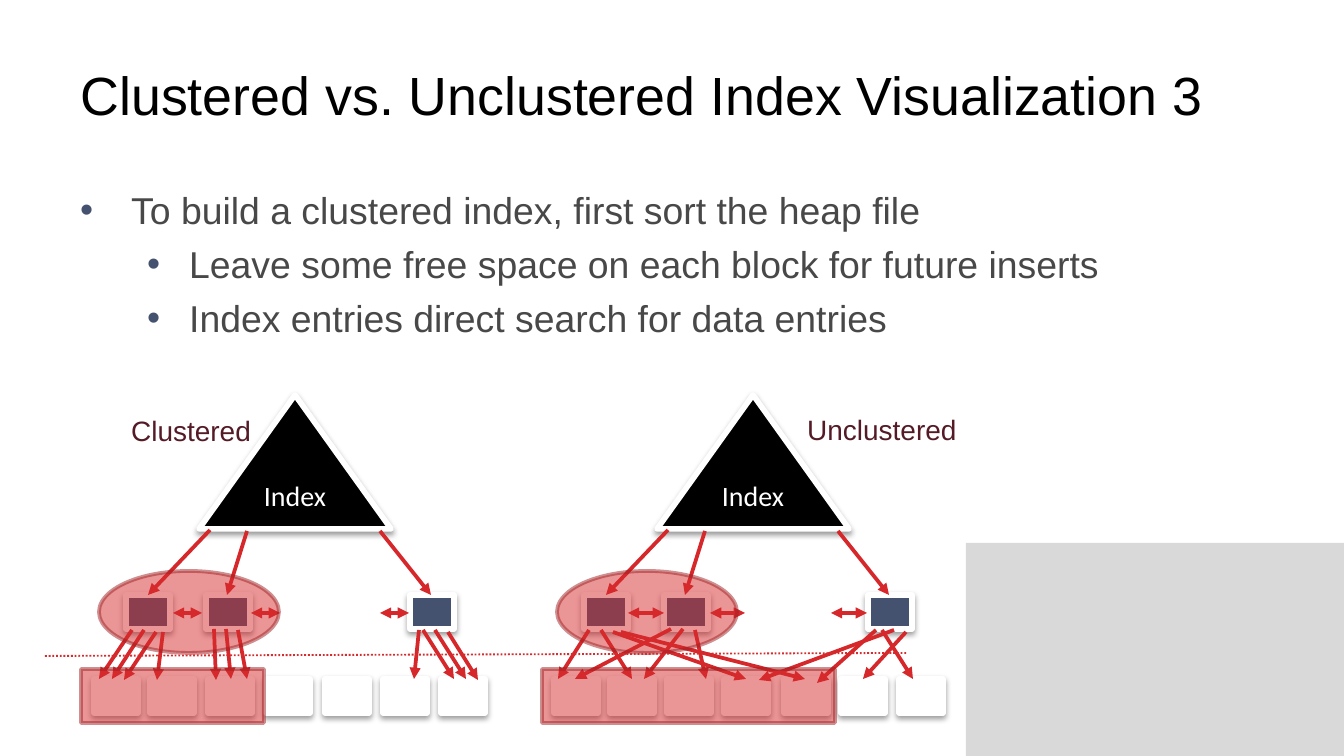
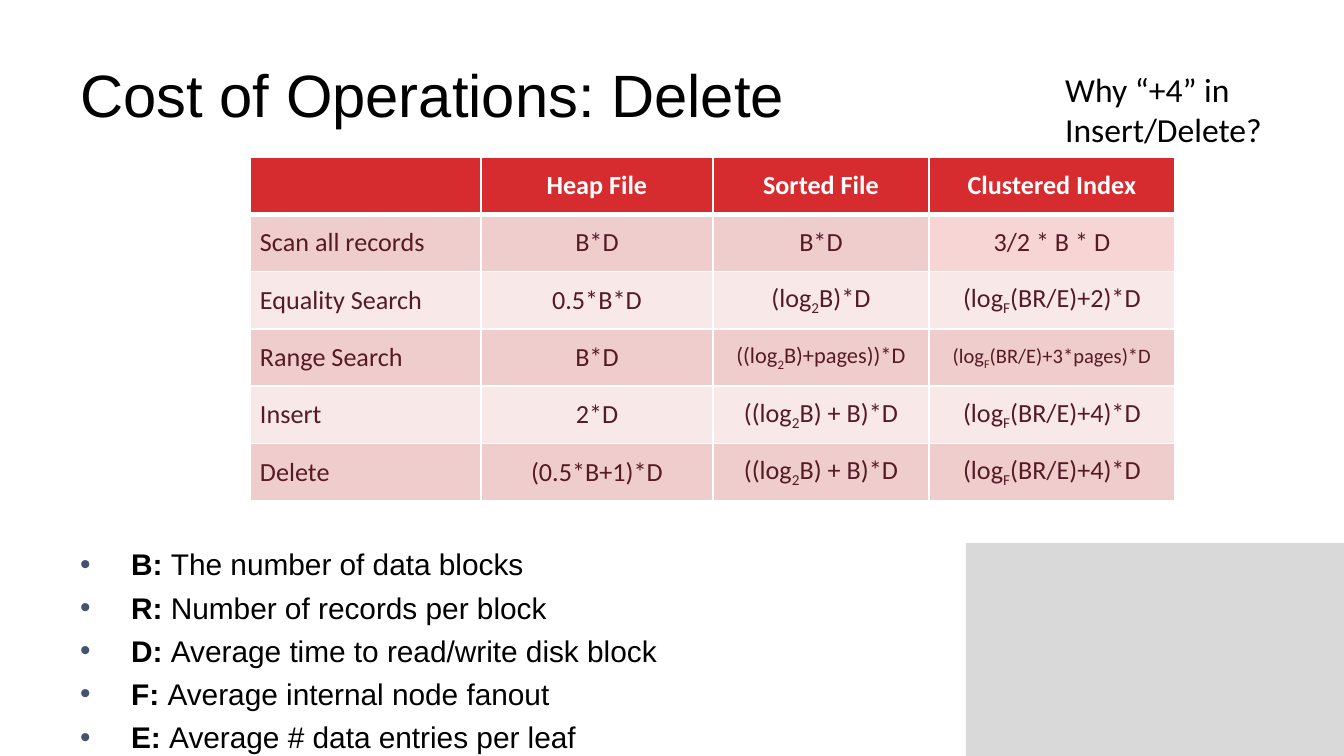
from lxml.etree import SubElement
from pptx import Presentation
from pptx.dml.color import RGBColor
from pptx.enum.dml import MSO_LINE
from pptx.enum.shapes import MSO_CONNECTOR, MSO_SHAPE as SHAPE
from pptx.enum.text import MSO_ANCHOR as ANCHOR, MSO_AUTO_SIZE as AUTO, PP_ALIGN as ALIGN
from pptx.oxml.ns import qn
from pptx.util import Emu, Pt

BLACK = RGBColor(0x00, 0x00, 0x00)
WHITE = RGBColor(0xFF, 0xFF, 0xFF)
GREY = RGBColor(0xD9, 0xD9, 0xD9)
TEXT = RGBColor(0x48, 0x48, 0x48)
NAVY = RGBColor(0x44, 0x51, 0x6F)
WINE = RGBColor(0x54, 0x1B, 0x27)
RED = RGBColor(0xD7, 0x2C, 0x2F)
ARROW_RED = RGBColor(0xD6, 0x27, 0x2A)
DARK_RED = RGBColor(0x9F, 0x21, 0x23)
ROW_DARK = RGBColor(0xF0, 0xCD, 0xCD)
ROW_LIGHT = RGBColor(0xF8, 0xE8, 0xE8)
CELL_PINK = RGBColor(0xF7, 0xD5, 0xD5)

TREE_STEP = 458
LEAVES = (126, 206, 410)
ROOT_LINKS = ((210, 530, 148, 595), (247, 531, 227, 595), (380, 531, 431, 595))

CLUSTERED = dict(
    dx=0,
    blocks=(94, 150, 208, 266, 325, 383, 441),
    entries=((132, 630, 99, 679), (144, 630, 112, 679), (156, 632, 124, 680),
             (163, 632, 157, 680), (423, 630, 454, 679), (435, 630, 466, 679),
             (448, 632, 478, 680), (419, 630, 414, 679), (214, 629, 216, 680),
             (226, 629, 231, 679), (238, 630, 247, 679)),
    siblings=((173, 202), (251, 280), (380, 409)),
    label=("Clustered", 118, 407, 149, 47),
    block_range=(81, 183),
)
UNCLUSTERED = dict(
    dx=TREE_STEP,
    blocks=(554, 610, 667, 724, 784, 841, 899),
    entries=((589, 630, 558, 679), (601, 630, 632, 679), (613, 632, 746, 679),
             (621, 632, 805, 679), (882, 630, 913, 679), (894, 630, 759, 680),
             (906, 632, 863, 679), (876, 630, 817, 683), (671, 629, 575, 679),
             (683, 629, 644, 679), (695, 630, 706, 679)),
    siblings=((628, 664), (710, 745), (831, 867)),
    label=("Unclustered", 794, 406, 180, 47),
    block_range=(542, 293),
)

COLUMNS = (231, 232, 216, 246)
COSTS = (
    ("", "Heap File", "Sorted File", "Clustered Index"),
    ("Scan all records", "B*D", "B*D", "3/2 * B * D"),
    ("Equality Search", "0.5*B*D", "(log|2|B)*D", "(log|F|(BR/E)+2)*D"),
    ("Range Search", "B*D", "((log|2|B)+pages))*D", "(log|F|(BR/E)+3*pages)*D"),
    ("Insert", "2*D", "((log|2|B) + B)*D", "(log|F|(BR/E)+4)*D"),
    ("Delete", "(0.5*B+1)*D", "((log|2|B) + B)*D", "(log|F|(BR/E)+4)*D"),
)
CELL_SIZES = {(3, 2): 12, (3, 3): 11}
CELL_FILLS = {(1, 3): CELL_PINK}


def px(n):
    return Emu(round(n * 914400 / 134.4))


def box(*lengths):
    return [px(n) for n in lengths]


def add_run(p, text, size=15, color=BLACK, font="Arial", bold=False, sub=False):
    r = p.add_run()
    r.text = text
    r.font.size, r.font.name, r.font.bold = Pt(size), font, bold
    r.font.color.rgb = color
    if sub:
        r._r.get_or_add_rPr().set("baseline", "-25000")


def add_shape(shapes, kind, at, fill, line=None, width=3):
    sp = shapes.add_shape(kind, *box(*at))
    sp.fill.solid()
    sp.fill.fore_color.rgb = fill
    if line is None:
        sp.line.fill.background()
    else:
        sp.line.color.rgb = line
        sp.line.width = Pt(width)
    sp.shadow.inherit = False
    return sp


def add_raised(shapes, kind, at, fill):
    sp = add_shape(shapes, kind, at, fill, WHITE)
    effects = sp._element.spPr.find(qn("a:effectLst"))
    shadow = SubElement(effects, qn("a:outerShdw"), blurRad=str(Pt(3.1)), dist=str(Pt(1.6)),
                        dir="5400000", rotWithShape="0")
    color = SubElement(shadow, qn("a:srgbClr"), val="000000")
    SubElement(color, qn("a:alpha"), val="38000")
    return sp


def add_highlight(shapes, kind, at):
    sp = add_shape(shapes, kind, at, RED, DARK_RED, 2)
    for color in list(sp._element.spPr.iter(qn("a:srgbClr"))):
        SubElement(color, qn("a:alpha"), val="50000")


def add_line(shapes, ends, color=ARROW_RED, width=2, head=False, tail=True, dash=None):
    c = shapes.add_connector(MSO_CONNECTOR.STRAIGHT, *box(*ends))
    c.line.color.rgb = color
    c.line.width = Pt(width)
    if dash:
        c.line.dash_style = dash
    ln = c._element.spPr.find(qn("a:ln"))
    for tag, wanted in (("a:headEnd", head), ("a:tailEnd", tail)):
        if wanted:
            SubElement(ln, qn(tag), type="triangle")
    SubElement(c._element.spPr, qn("a:effectLst"))


def add_text(shapes, text, at, wrap=True, **fmt):
    tf = shapes.add_textbox(*box(*at)).text_frame
    tf.word_wrap = wrap
    tf.auto_size = AUTO.SHAPE_TO_FIT_TEXT
    add_run(tf.paragraphs[0], text, **fmt)


def add_bullets(s, at, items, size, color):
    tf = s.shapes.add_textbox(*box(*at)).text_frame
    tf.word_wrap = True
    tf.auto_size = AUTO.NONE
    tf.margin_top = px(11)
    for i, (level, key, text) in enumerate(items):
        p = tf.paragraphs[0] if i == 0 else tf.add_paragraph()
        p.level = level
        p.space_before = Pt(size / 4 if i else 0)
        margin, hang = ((51, 51), (109, 42))[level]
        pPr = p._p.get_or_add_pPr()
        pPr.set("marL", str(px(margin)))
        pPr.set("indent", str(-px(hang)))
        SubElement(SubElement(pPr, qn("a:buClr")), qn("a:srgbClr"), val=str(NAVY))
        SubElement(pPr, qn("a:buFont"), typeface="Arial")
        SubElement(pPr, qn("a:buChar"), char="•")
        if key:
            add_run(p, key + ": ", size=size, color=color, bold=True)
        add_run(p, text, size=size, color=color)


def add_slide(prs, title, size):
    s = prs.slides.add_slide(prs.slide_layouts[5])
    add_shape(s.shapes, SHAPE.RECTANGLE, (966, 543, 378, 213), GREY)
    sp = s.shapes.title
    sp.left, sp.top, sp.width, sp.height = box(67, 31, 1210, 126)
    tf = sp.text_frame
    tf.word_wrap = True
    tf.auto_size = AUTO.NONE
    tf.vertical_anchor = ANCHOR.MIDDLE
    p = tf.paragraphs[0]
    p.alignment = ALIGN.LEFT
    add_run(p, title, size=size)
    return s


def add_tree(s, dx, blocks, entries, siblings, label, block_range):
    shapes = s.shapes.add_group_shape().shapes
    for x in blocks:
        add_raised(shapes, SHAPE.RECTANGLE, (x, 679, 44, 34), WHITE)
    for x in LEAVES:
        add_raised(shapes, SHAPE.RECTANGLE, (x + dx, 595, 44, 34), NAVY)
    for ends in entries:
        add_line(shapes, ends)
    root = add_raised(shapes, SHAPE.ISOSCELES_TRIANGLE, (199 + dx, 395, 192, 134), BLACK)
    tf = root.text_frame
    tf.vertical_anchor = ANCHOR.MIDDLE
    p = tf.paragraphs[0]
    p.alignment = ALIGN.CENTER
    add_run(p, "Index", color=WHITE, font="Calibri")
    for x1, y1, x2, y2 in ROOT_LINKS:
        add_line(shapes, (x1 + dx, y1, x2 + dx, y2))
    for x1, x2 in siblings:
        add_line(shapes, (x1, 613, x2, 613), head=True)
    add_text(shapes, label[0], label[1:], wrap=False, color=WINE)
    add_highlight(shapes, SHAPE.OVAL, (99 + dx, 571, 180, 82))
    left, width = block_range
    add_highlight(shapes, SHAPE.RECTANGLE, (left, 669, width, 54))


def set_borders(cell, top, bottom):
    tcPr = cell._tc.get_or_add_tcPr()
    for side, width in (("L", 1), ("R", 1), ("T", top), ("B", bottom)):
        ln = SubElement(tcPr, qn("a:ln" + side), w=str(Pt(width)))
        SubElement(SubElement(ln, qn("a:solidFill")), qn("a:srgbClr"), val=str(WHITE))


def format_cell(cell, row, col, text):
    header = row == 0
    set_borders(cell, 3 if row == 1 else 1, 3 if header else 1)
    band = RED if header else ROW_DARK if row % 2 else ROW_LIGHT
    cell.fill.solid()
    cell.fill.fore_color.rgb = CELL_FILLS.get((row, col), band)
    cell.vertical_anchor = ANCHOR.MIDDLE
    cell.margin_left = cell.margin_right = px(10)
    cell.margin_top = cell.margin_bottom = px(5)
    p = cell.text_frame.paragraphs[0]
    p.alignment = ALIGN.CENTER if col else ALIGN.LEFT
    if text:
        for i, part in enumerate(text.split("|")):
            add_run(p, part, size=CELL_SIZES.get((row, col), 14), font="Calibri",
                    color=WHITE if header else WINE, bold=header, sub=i % 2 == 1)


def add_cost_table(s):
    frame = s.shapes.add_table(len(COSTS), len(COLUMNS), *box(250, 157, sum(COLUMNS), 344))
    table = frame.table
    for column, width in zip(table.columns, COLUMNS):
        column.width = px(width)
    for row in table.rows:
        row.height = px(344 / len(COSTS))
    for i, texts in enumerate(COSTS):
        for j, text in enumerate(texts):
            format_cell(table.cell(i, j), i, j, text)


def build_index_slide(prs):
    s = add_slide(prs, "Clustered vs. Unclustered Index Visualization 3", 28.8)
    add_tree(s, **CLUSTERED)
    add_tree(s, **UNCLUSTERED)
    add_bullets(s, (67, 176, 1210, 177), (
        (0, "", "To build a clustered index, first sort the heap file"),
        (1, "", "Leave some free space on each block for future inserts"),
        (1, "", "Index entries direct search for data entries"),
    ), 20, TEXT)
    add_line(s.shapes, (45, 656, 907, 653), RED, 1, tail=False, dash=MSO_LINE.ROUND_DOT)


def build_cost_slide(prs):
    s = add_slide(prs, "Cost of Operations: Delete", 32)
    add_cost_table(s)
    add_text(s.shapes, "Why “+4” in Insert/Delete?", (1052, 62, 292, 95),
             size=18, font="Calibri")
    add_bullets(s, (67, 535, 1210, 499), (
        (0, "B", "The number of data blocks"),
        (0, "R", "Number of records per block"),
        (0, "D", "Average time to read/write disk block"),
        (0, "F", "Average internal node fanout"),
        (0, "E", "Average # data entries per leaf"),
    ), 16, BLACK)


def main():
    prs = Presentation()
    prs.slide_width, prs.slide_height = box(1344, 756)
    build_index_slide(prs)
    build_cost_slide(prs)
    prs.save("out.pptx")


main()
